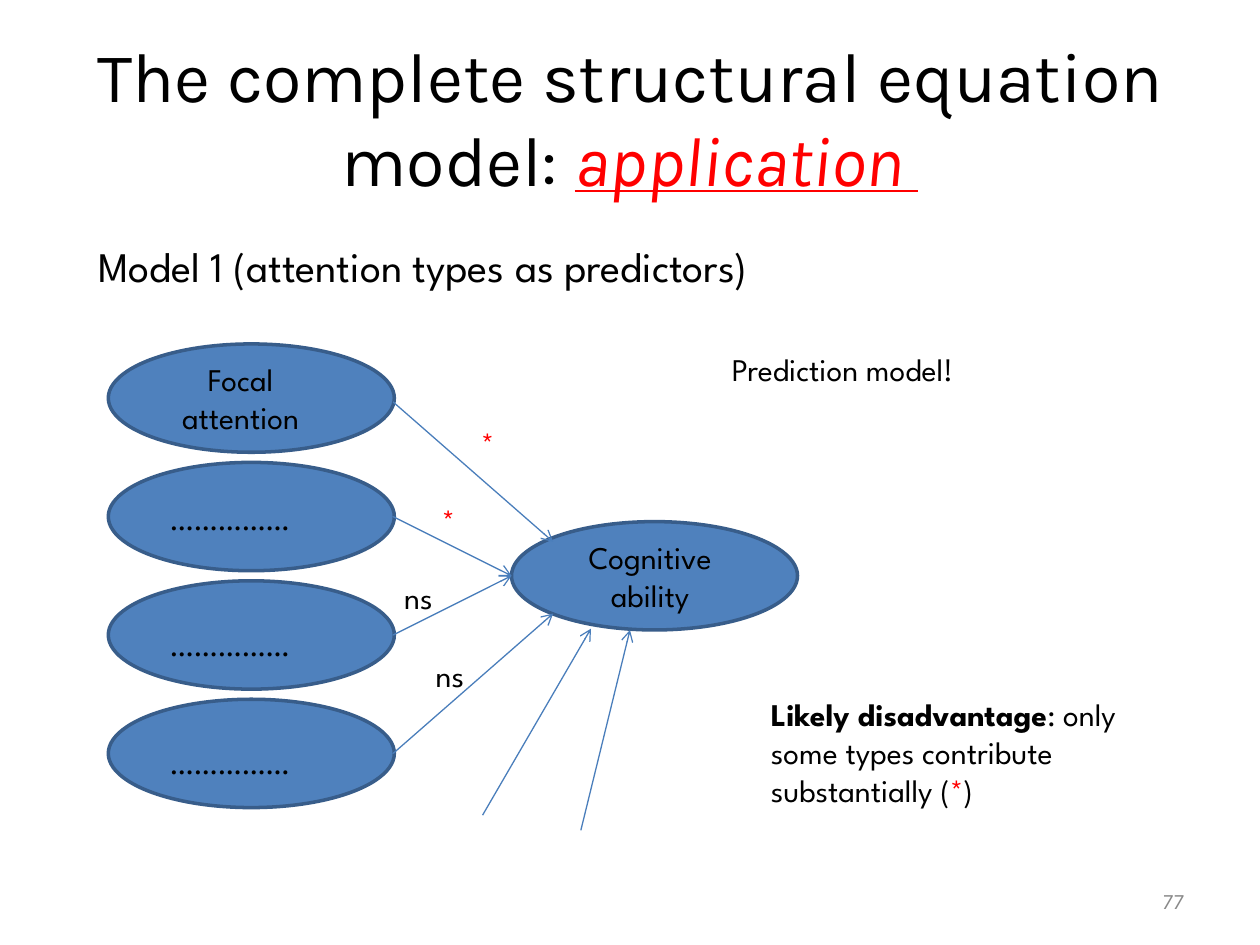
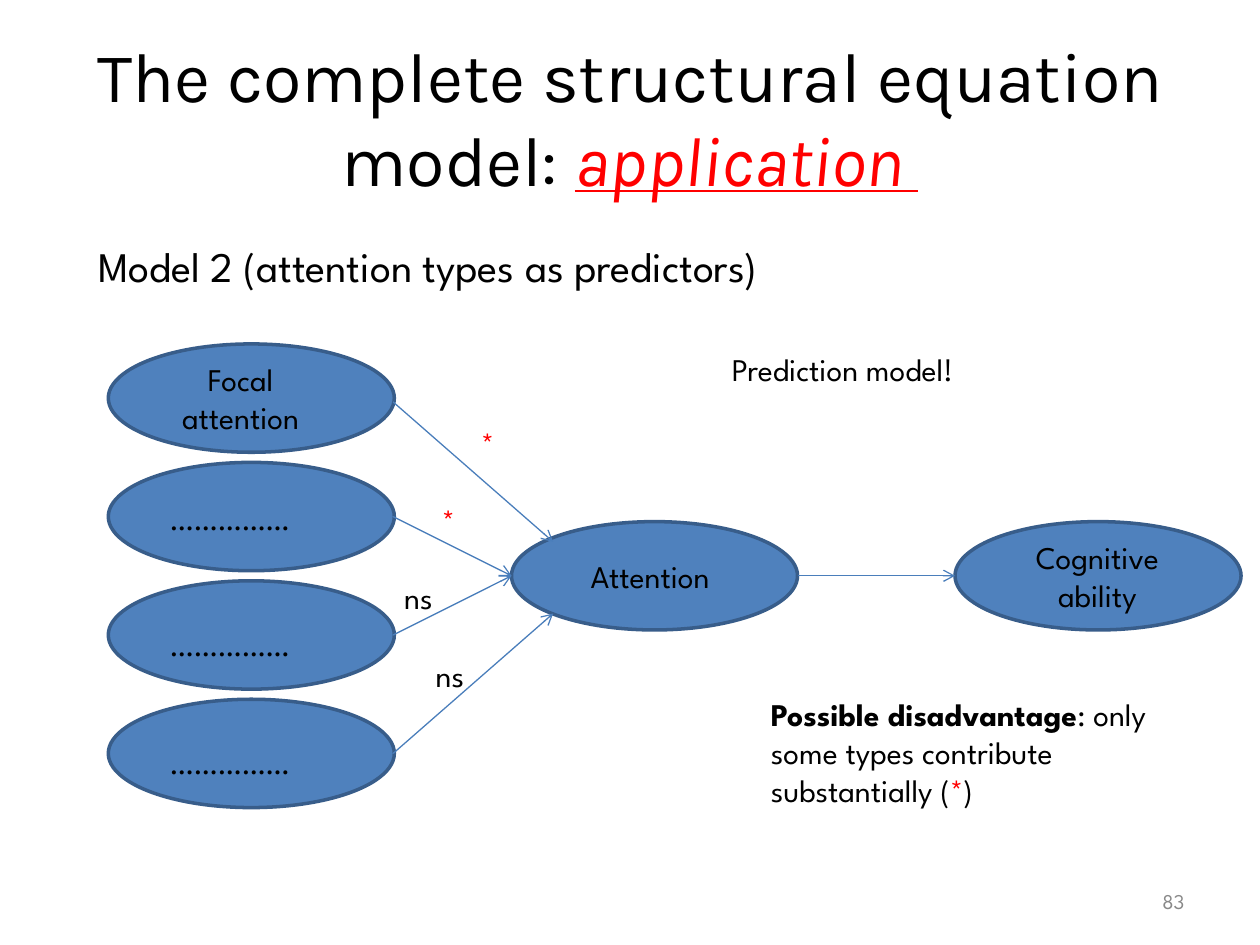
from dataclasses import dataclass
from typing import NamedTuple

from lxml.etree import SubElement
from pptx import Presentation
from pptx.dml.color import RGBColor
from pptx.enum.shapes import MSO_CONNECTOR, MSO_SHAPE
from pptx.enum.text import MSO_ANCHOR, MSO_AUTO_SIZE, PP_ALIGN
from pptx.oxml.ns import qn
from pptx.slide import Slide
from pptx.text.text import TextFrame
from pptx.util import Emu, Pt

EMU_PER_PX = 9144
BLACK, RED, GREY, WHITE = "000000", "FF0000", "898989", "FFFFFF"
OVAL_FILL, OVAL_LINE, ARROW_LINE = "4F81BD", "385D8A", "4A7EBB"
BODY_FONT, TITLE_FONT = "League Spartan", "Karla"
TITLE_ONLY = 5

OVAL_WIDTH, OVAL_HEIGHT = 227, 86
PREDICTOR_LEFT, PREDICTOR_TOP, PREDICTOR_STEP = 86, 273, 94
CENTRE_LEFT, CENTRE_TOP = 406, 414
OUTCOME_LEFT = 758
CENTRE_MIDDLE = CENTRE_TOP + OVAL_HEIGHT // 2


class Area(NamedTuple):
    left: int
    top: int
    width: int
    height: int

    def lengths(self) -> tuple[Emu, ...]:
        return tuple(px(value) for value in self)


class Arrow(NamedTuple):
    start_x: int
    start_y: int
    end_x: int
    end_y: int


@dataclass(frozen=True)
class Span:
    text: str
    color: str = BLACK
    bold: bool = False
    italic: bool = False
    underline: bool = False


@dataclass(frozen=True)
class Label:
    text: str
    area: Area
    color: str = BLACK
    align: PP_ALIGN = PP_ALIGN.LEFT


@dataclass(frozen=True)
class Model:
    heading: str
    number: str
    drawback: str
    ovals: tuple[Area, ...]
    arrows: tuple[Arrow, ...]
    labels: tuple[Label, ...]


def px(value: int) -> Emu:
    return Emu(value * EMU_PER_PX)


def rgb(color: str) -> RGBColor:
    return RGBColor.from_string(color)


def write_text(frame: TextFrame, *spans: Span, size: int = 18, font: str = BODY_FONT,
               align: PP_ALIGN = PP_ALIGN.LEFT, anchor: MSO_ANCHOR = MSO_ANCHOR.TOP) -> None:
    frame.word_wrap = True
    frame.auto_size = MSO_AUTO_SIZE.NONE
    frame.vertical_anchor = anchor
    para = frame.paragraphs[0]
    para.alignment = align
    for span in spans:
        run = para.add_run()
        run.text = span.text
        run.font.name = font
        run.font.size = Pt(size)
        run.font.color.rgb = rgb(span.color)
        run.font.bold = span.bold
        run.font.italic = span.italic
        run.font.underline = span.underline


def add_text(page: Slide, text: str, area: Area, color: str = BLACK, **text_format) -> None:
    box = page.shapes.add_textbox(*area.lengths())
    write_text(box.text_frame, Span(text, color), **text_format)


def add_oval(page: Slide, area: Area) -> None:
    oval = page.shapes.add_shape(MSO_SHAPE.OVAL, *area.lengths())
    oval.shadow.inherit = False
    oval.fill.solid()
    oval.fill.fore_color.rgb = rgb(OVAL_FILL)
    oval.line.color.rgb = rgb(OVAL_LINE)
    oval.line.width = Pt(2)


def add_arrow(page: Slide, arrow: Arrow) -> None:
    connector = page.shapes.add_connector(MSO_CONNECTOR.STRAIGHT, *(px(value) for value in arrow))
    connector.line.color.rgb = rgb(ARROW_LINE)
    connector.line.width = Pt(0.75)
    SubElement(connector.line._get_or_add_ln(), qn("a:tailEnd"), type="arrow")
    SubElement(connector._element.spPr, qn("a:effectLst"))


def add_title(page: Slide) -> None:
    title = page.shapes.title
    title.left, title.top, title.width, title.height = Area(50, 30, 900, 125).lengths()
    write_text(title.text_frame,
               Span("The complete structural equation model: "),
               Span("application ", RED, italic=True, underline=True),
               size=40, font=TITLE_FONT, align=PP_ALIGN.CENTER, anchor=MSO_ANCHOR.MIDDLE)


def add_drawback(page: Slide, drawback: str) -> None:
    box = page.shapes.add_shape(MSO_SHAPE.RECTANGLE, *Area(602, 547, 346, 100).lengths())
    box.shadow.inherit = False
    box.fill.background()
    box.line.color.rgb = rgb(WHITE)
    box.line.width = Pt(0.75)
    write_text(box.text_frame,
               Span(drawback, bold=True),
               Span(": only some types contribute substantially ("),
               Span("*", RED),
               Span(")"))


def centred(text: str, left: int, top: int, width: int = 156, height: int = 70) -> Label:
    return Label(text, Area(left, top, width, height), align=PP_ALIGN.CENTER)


SHARED_OVALS = tuple(
    Area(PREDICTOR_LEFT, PREDICTOR_TOP + index * PREDICTOR_STEP, OVAL_WIDTH, OVAL_HEIGHT)
    for index in range(4)
) + (Area(CENTRE_LEFT, CENTRE_TOP, OVAL_WIDTH, OVAL_HEIGHT),)

SHARED_ARROWS = (
    Arrow(312, 319, 439, 430),
    Arrow(312, 410, CENTRE_LEFT, CENTRE_MIDDLE),
    Arrow(312, 504, CENTRE_LEFT, CENTRE_MIDDLE),
    Arrow(312, 598, 439, 487),
)

SHARED_LABELS = (
    centred("Focal attention", 117, 281, width=148),
    *(Label("……………", Area(125, top, 156, 40)) for top in (391, 491, 585)),
    Label("Prediction model!", Area(571, 273, 354, 40)),
    Label("*", Area(372, 332, 34, 40), RED),
    Label("*", Area(341, 393, 34, 40), RED),
    Label("ns", Area(336, 516, 48, 40)),
    Label("ns", Area(311, 454, 48, 40)),
)

MODELS = (
    Model(
        "Model 1 (attention types as predictors)", "77", "Likely disadvantage",
        ovals=(),
        arrows=(Arrow(383, 647, 469, 499), Arrow(461, 659, 500, 500)),
        labels=(centred("Cognitive ability", 438, 422),),
    ),
    Model(
        "Model 2 (attention types as predictors)", "83", "Possible disadvantage",
        ovals=(Area(OUTCOME_LEFT, CENTRE_TOP, OVAL_WIDTH, OVAL_HEIGHT),),
        arrows=(Arrow(CENTRE_LEFT + OVAL_WIDTH, CENTRE_MIDDLE, OUTCOME_LEFT, CENTRE_MIDDLE),),
        labels=(
            centred("Attention", 438, 437, height=40),
            centred("Cognitive ability", 793, 422),
        ),
    ),
)


def draw_model(page: Slide, model: Model) -> None:
    add_title(page)
    add_text(page, model.heading, Area(68, 186, 882, 50), size=24)
    add_text(page, model.number, Area(717, 695, 233, 40), GREY, size=12,
             align=PP_ALIGN.RIGHT, anchor=MSO_ANCHOR.MIDDLE)
    for oval in SHARED_OVALS + model.ovals:
        add_oval(page, oval)
    for arrow in SHARED_ARROWS + model.arrows:
        add_arrow(page, arrow)
    for label in SHARED_LABELS + model.labels:
        add_text(page, label.text, label.area, label.color, align=label.align)
    add_drawback(page, model.drawback)


def main() -> None:
    deck = Presentation()
    deck.slide_width, deck.slide_height = px(1000), px(750)
    for model in MODELS:
        draw_model(deck.slides.add_slide(deck.slide_layouts[TITLE_ONLY]), model)
    deck.save("out.pptx")


if __name__ == "__main__":
    main()
